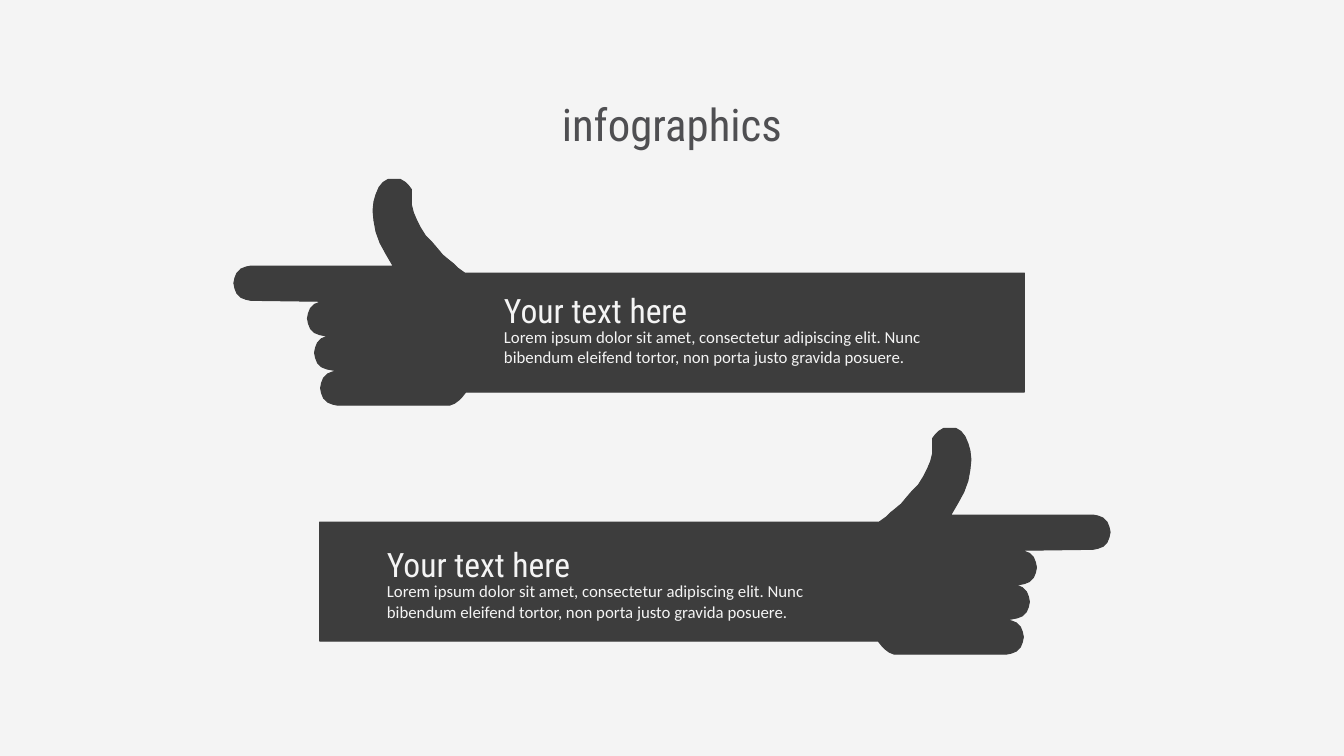
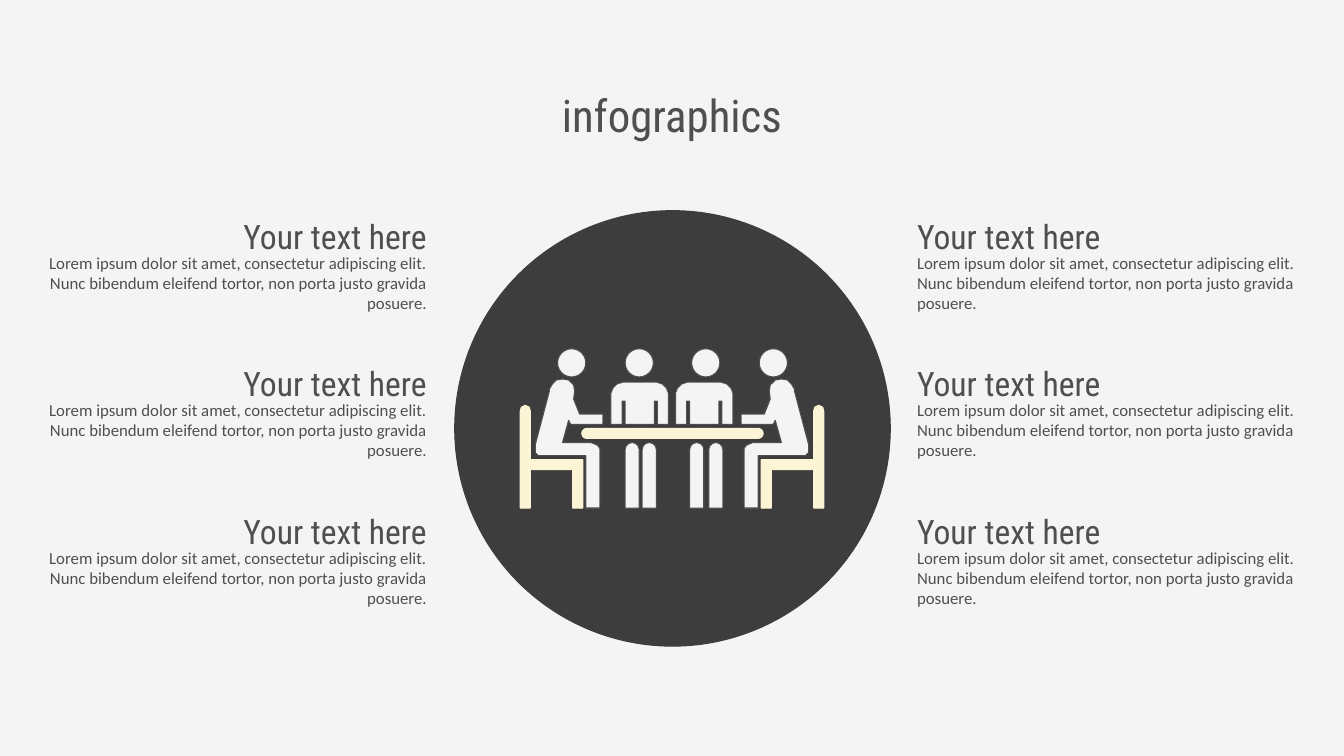
import math
from pptx import Presentation
from pptx import util as u
from pptx.dml.color import RGBColor
from pptx.enum import shapes, text

# Shared style
COLOURS = {"paper": "F4F4F4", "dark": "3D3D3D", "ink": "4F4F52", "cream": "FBF5D5"}
HEADING_FONT, BODY_FONT = "Roboto Condensed", "Calibri"
WIDTH, HEIGHT = u.Inches(13.33), u.Inches(7.5)
HEADING = "Your text here"
BODY = ("Lorem ipsum dolor sit amet, consectetur adipiscing elit. Nunc bibendum "
        "eleifend tortor, non porta justo gravida posuere.")

# Drawings use a grid of 100 cells to the inch
CELL = u.Inches(0.01)
GRID_WIDTH = 1333

# Hand: fingers are half circles, listed from the little finger up
FINGER_RADIUS = 17
FINGERS = [(335, 385), (329, 350), (322, 316), (249, 281)]
THUMB_AND_ARM = [
    (392, 178), (397, 178), (402, 181), (405, 184), (408, 188), (408, 203), (410, 211),
    (413, 218), (417, 226), (422, 234), (428, 240), (434, 247), (439, 253), (445, 258),
    (450, 262), (454, 266), (461, 271), (1016, 271), (1016, 389), (462, 389), (458, 394),
    (455, 397), (451, 400), (446, 402), (440, 402)]
THUMB_BACK = [
    (390, 264), (383, 252), (377, 241), (373, 230), (371, 219), (370, 209), (371, 200),
    (373, 193), (376, 186), (380, 181), (385, 178)]

# Meeting scene: outlines of its left half
CHAIR = [
    (521, 402), (523, 403), (525, 404), (526, 408), (526, 456), (578, 456), (578, 504),
    (568, 504), (568, 466), (526, 466), (526, 504), (516, 504), (516, 408), (517, 404),
    (519, 403)]
SITTER = [
    (558, 376), (564, 377), (569, 382), (570, 388), (569, 396), (575, 411), (598, 411),
    (598, 421), (566, 421), (564, 417), (558, 439), (586, 439), (591, 441), (593, 442),
    (595, 445), (595, 504), (581, 504), (581, 452), (534, 452), (531, 449), (531, 441),
    (545, 388), (545, 386), (548, 381), (552, 377)]
TORSO = [
    (618, 379), (651, 379), (657, 381), (661, 385), (663, 390), (663, 421), (652, 421),
    (652, 398), (649, 398), (649, 421), (620, 421), (620, 398), (617, 398), (617, 421),
    (606, 421), (606, 390), (608, 385), (612, 381)]
HEAD_LEFTS = [553, 620, 686, 753]
LEG_LEFTS = [620, 637, 684, 703]


def colour(name):
    return RGBColor.from_string(COLOURS[name])


def share(left, top, width, height):
    """Turn percentages of the slide's size into a position and size."""
    return [round(size * percent / 100) for size, percent in
            zip((WIDTH, HEIGHT, WIDTH, HEIGHT), (left, top, width, height))]


def mirror(points, drop=0):
    """Flip an outline about the slide's middle and move it down."""
    return [(GRID_WIDTH - x, y + drop) for x, y in points]


def paint(shape, fill, line):
    shape.shadow.inherit = False
    shape.fill.solid()
    shape.fill.fore_color.rgb = colour(fill)
    shape.line.color.rgb = colour(line)
    shape.line.width = 0
    return shape


def add_outline(slide, points, fill, line):
    builder = slide.shapes.build_freeform(*points[0], scale=CELL)
    builder.add_line_segments(points[1:], close=True)
    return paint(builder.convert_to_shape(), fill, line)


def add_preset(slide, kind, cells, fill, line):
    return paint(slide.shapes.add_shape(kind, *[n * CELL for n in cells]), fill, line)


def write(shape, words, font, size, ink, alignment):
    frame = shape.text_frame
    frame.text = words
    frame.word_wrap = True
    frame.vertical_anchor = text.MSO_ANCHOR.TOP
    frame.auto_size = text.MSO_AUTO_SIZE.SHAPE_TO_FIT_TEXT
    paragraph = frame.paragraphs[0]
    paragraph.alignment = alignment
    paragraph.font.name = font
    paragraph.font.size = u.Pt(size)
    paragraph.font.color.rgb = colour(ink)


def add_titled_slide(presentation, top):
    slide = presentation.slides.add_slide(presentation.slide_layouts.get_by_name("Title Only"))
    title = slide.shapes.title
    title.left, title.top, title.width, title.height = share(33.85, top, 32.3, 8.5)
    write(title, "infographics", HEADING_FONT, 32, "ink", text.PP_ALIGN.CENTER)
    return slide


def add_caption(slide, left, top, width, ink, alignment=text.PP_ALIGN.LEFT, body_height=6.7):
    """Place a heading with its body text just below."""
    body = slide.shapes.add_textbox(*share(left, top + 4.87, width, body_height))
    write(body, BODY, BODY_FONT, 12, ink, alignment)
    heading = slide.shapes.add_textbox(*share(left, top, width, 6.7))
    write(heading, HEADING, HEADING_FONT, 24, ink, alignment)


def hand_outline():
    points = list(THUMB_AND_ARM)
    for x, y in FINGERS:
        for step in range(11):
            angle = math.pi * step / 10
            points.append((x - FINGER_RADIUS * math.sin(angle),
                           y + FINGER_RADIUS * math.cos(angle)))
    return points + THUMB_BACK


def build_hands(presentation):
    slide = add_titled_slide(presentation, 12.1)
    hand = hand_outline()
    for outline in (hand, mirror(hand, drop=247)):
        add_outline(slide, outline, "dark", "dark")
    for left, top in ((36.76, 37.7), (28.05, 71.35)):
        add_caption(slide, left, top, 34.4, "paper")


def add_meeting(slide):
    # Disc and table
    add_preset(slide, shapes.MSO_SHAPE.OVAL, (451, 209, 432, 432), "dark", "dark")
    table = add_preset(slide, shapes.MSO_SHAPE.ROUNDED_RECTANGLE, (577, 425, 180, 10),
                       "cream", "cream")
    table.adjustments[0] = 0.5
    # People and chairs on both sides
    for points, fill, line in ((CHAIR, "cream", "cream"), (SITTER, "paper", "ink"),
                               (TORSO, "paper", "ink")):
        for outline in (points, mirror(points)):
            add_outline(slide, outline, fill, line)
    for left in HEAD_LEFTS:
        add_preset(slide, shapes.MSO_SHAPE.OVAL, (left, 346, 28, 28), "paper", "ink")
    for left in LEG_LEFTS:
        leg = add_preset(slide, shapes.MSO_SHAPE.ROUND_2_SAME_RECTANGLE,
                         (left, 439, 14, 65), "paper", "ink")
        leg.adjustments[0] = 0.5


def build_meeting(presentation):
    slide = add_titled_slide(presentation, 10.9)
    add_meeting(slide)
    margin, width = 1.8, 30.7
    for row in range(3):
        top = 27.87 + 19.5 * row
        add_caption(slide, margin, top, width, "ink", text.PP_ALIGN.RIGHT, 9.5)
        add_caption(slide, 100 - margin - width, top, width, "ink", body_height=9.5)


def main():
    presentation = Presentation()
    presentation.slide_width, presentation.slide_height = WIDTH, HEIGHT
    background = presentation.slide_master.background.fill
    background.solid()
    background.fore_color.rgb = colour("paper")
    build_hands(presentation)
    build_meeting(presentation)
    presentation.save("out.pptx")


if __name__ == "__main__":
    main()
